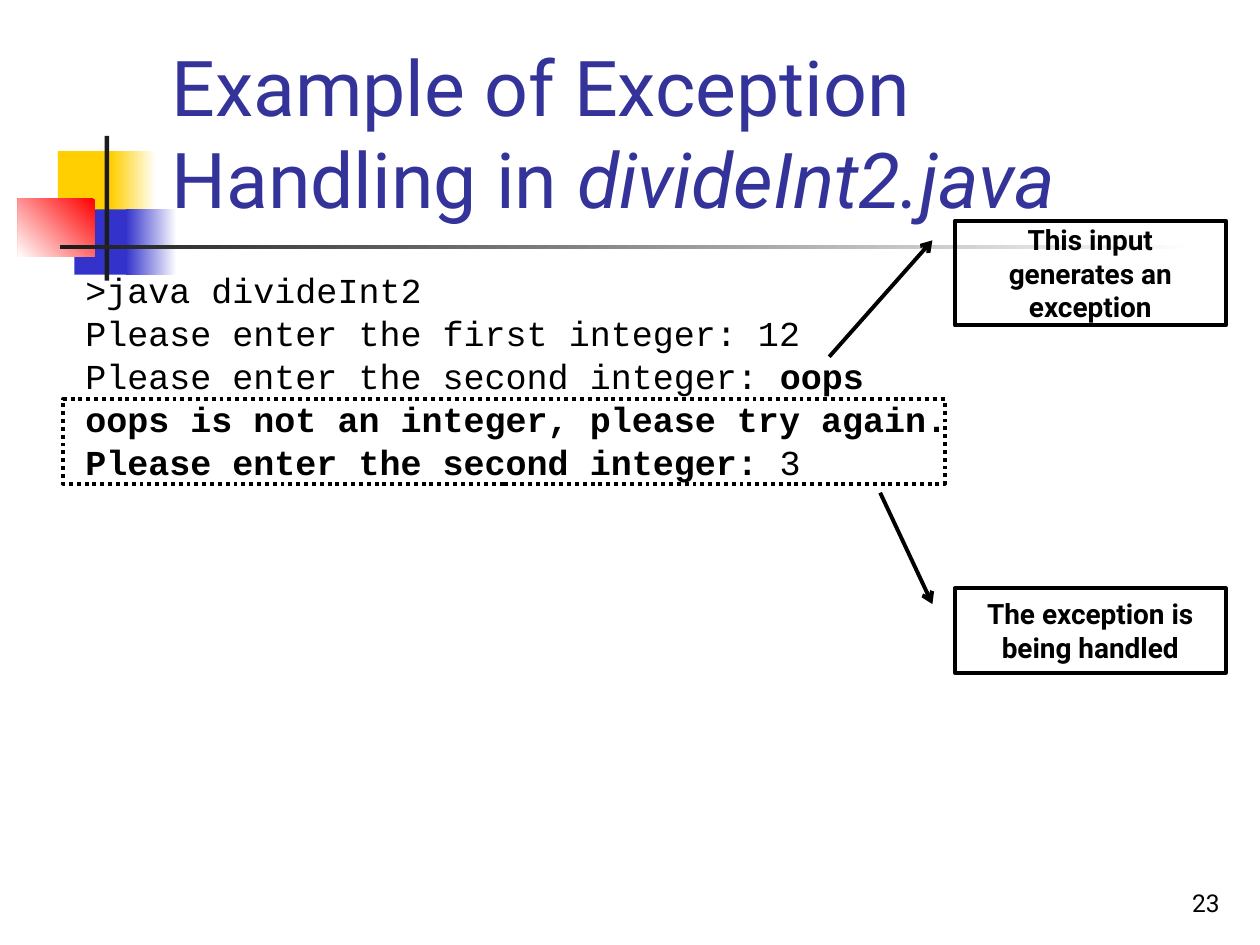
import pptx
import pptx.dml.color
import pptx.enum.dml
import pptx.enum.shapes
import pptx.enum.text
import pptx.util
import lxml.etree
from pptx.oxml.ns import qn

Cm = pptx.util.Cm
Pt = pptx.util.Pt
RGBColor = pptx.dml.color.RGBColor
Shape = pptx.enum.shapes.MSO_SHAPE
Anchor = pptx.enum.text.MSO_ANCHOR
Align = pptx.enum.text.PP_ALIGN

WHITE = RGBColor(0xFF, 0xFF, 0xFF)
BLACK = RGBColor(0x00, 0x00, 0x00)
YELLOW = RGBColor(0xFF, 0xCF, 0x01)
BLUE = RGBColor(0x33, 0x33, 0xCC)
RED = RGBColor(0xFF, 0x00, 0x00)
CHARCOAL = RGBColor(0x1C, 0x1C, 0x1C)
INDIGO = RGBColor(0x33, 0x33, 0x99)
BODY_FONT = "Roboto"
CODE_FONT = "Courier New"


def add_span(para, text, size, font=BODY_FONT, color=BLACK, bold=False, italic=False):
    """Append one formatted run to a paragraph."""
    span = para.add_run()
    span.text = text
    span.font.size = Pt(size)
    span.font.name = font
    span.font.color.rgb = color
    span.font.bold = bold
    span.font.italic = italic


def set_frame(frame, anchor):
    """Make a text frame wrap at a fixed size with the given anchor."""
    frame.word_wrap = True
    frame.auto_size = pptx.enum.text.MSO_AUTO_SIZE.NONE
    frame.vertical_anchor = anchor


def add_outline(page, kind, left, top, width, height):
    """Add an unfilled shape with a black outline."""
    box = page.shapes.add_shape(kind, Cm(left), Cm(top), Cm(width), Cm(height))
    box.shadow.inherit = False
    box.fill.background()
    box.line.color.rgb = BLACK
    box.line.width = Pt(2.25)
    return box


def add_ornament(page, left, top):
    """Draw the coloured squares and the crossing bars."""
    parts = [
        (0.81, 0.31, 1.22, 1.32, (YELLOW,), 0),
        (1.88, 0.31, 0.91, 1.32, (WHITE, YELLOW), 180),
        (1.14, 1.48, 1.17, 1.32, (BLUE,), 0),
        (2.18, 1.48, 1.02, 1.32, (WHITE, BLUE), 180),
        (0, 1.27, 1.55, 1.17, (RED, WHITE), 225),
        (1.75, 0, 0.09, 2.92, (CHARCOAL,), 0),
        (0.86, 2.2, 22.86, 0.09, (WHITE, CHARCOAL), 180),
    ]
    for across, down, width, height, colors, angle in parts:
        part = page.shapes.add_shape(
            Shape.RECTANGLE, Cm(left + across), Cm(top + down), Cm(width), Cm(height))
        part.shadow.inherit = False
        part.line.fill.background()
        if len(colors) == 1:
            part.fill.solid()
            part.fill.fore_color.rgb = colors[0]
        else:
            part.fill.gradient()
            part.fill.gradient_angle = angle
            for stop, color, position in zip(part.fill.gradient_stops, colors, (0, 1)):
                stop.color.rgb = color
                stop.position = position


def place_title(page, left, top, width, height):
    """Move and fill the title placeholder, in front of the ornament."""
    title = page.shapes.title
    title.left, title.top, title.width, title.height = map(Cm, (left, top, width, height))
    set_frame(title.text_frame, Anchor.BOTTOM)
    para = title.text_frame.paragraphs[0]
    para.alignment = Align.LEFT
    add_span(para, "Example of Exception Handling in ", 44, color=INDIGO)
    add_span(para, "divideInt2.java", 44, color=INDIGO, italic=True)
    page.shapes._spTree.append(title._element)


def add_console(page, left, top, width, height):
    """Write the console session, one paragraph a line."""
    lines = [
        [(">java divideInt2", False)],
        [("Please enter the first integer: 12", False)],
        [("Please enter the second integer: ", False), ("oops", True)],
        [("oops is not an integer, please try again.", True)],
        [("Please enter the second integer:", True), (" 3", False)],
    ]
    box = page.shapes.add_textbox(Cm(left), Cm(top), Cm(width), Cm(height))
    frame = box.text_frame
    set_frame(frame, Anchor.TOP)
    for index, spans in enumerate(lines):
        para = frame.add_paragraph() if index else frame.paragraphs[0]
        para.line_spacing = 0.5
        para.space_before = Pt(12.5 if index else 0)
        for text, bold in spans:
            add_span(para, text, 20, CODE_FONT, bold=bold)


def add_callout(page, text, left, top, width, height, tail_down, tail_across):
    """Add a callout whose pointer carries an arrowhead at its start."""
    callout = add_outline(page, Shape.LINE_CALLOUT_1, left, top, width, height)
    for index, value in enumerate((0.188, -0.083, tail_down, tail_across)):
        callout.adjustments[index] = value
    line = callout.line._get_or_add_ln()
    lxml.etree.SubElement(line, qn("a:headEnd"), type="arrow")
    set_frame(callout.text_frame, Anchor.MIDDLE)
    para = callout.text_frame.paragraphs[0]
    para.alignment = Align.CENTER
    add_span(para, text, 16, bold=True)


def add_highlight(page, left, top, width, height):
    """Frame the handled lines with a dotted rectangle."""
    frame = add_outline(page, Shape.RECTANGLE, left, top, width, height)
    frame.line.dash_style = pptx.enum.dml.MSO_LINE.ROUND_DOT


def add_page_number(page, left, top, width, height):
    """Write the page number at the lower right."""
    box = page.shapes.add_textbox(Cm(left), Cm(top), Cm(width), Cm(height))
    set_frame(box.text_frame, Anchor.BOTTOM)
    para = box.text_frame.paragraphs[0]
    para.alignment = Align.RIGHT
    add_span(para, "23", 14)


def main():
    """Build the deck and save it."""
    deck = pptx.Presentation()
    deck.slide_width, deck.slide_height = Cm(25.4), Cm(19.05)
    page = deck.slides.add_slide(deck.slide_layouts.get_by_name("Title Only"))
    add_ornament(page, 0.36, 2.74)
    place_title(page, 3.2, 0.58, 21.64, 4.06)
    add_console(page, 1.47, 5.66, 20.12, 5)
    add_callout(page, "This input generates an exception", 19.25, 4.45, 5.46, 2.11, 1.3, -0.464)
    add_callout(page, "The exception is being handled", 19.25, 11.86, 5.46, 1.7, -1.133, -0.276)
    add_highlight(page, 1.27, 8.05, 17.78, 1.7)
    add_page_number(page, 19.56, 17.35, 5.28, 1.27)
    deck.save("out.pptx")


if __name__ == "__main__":
    main()
